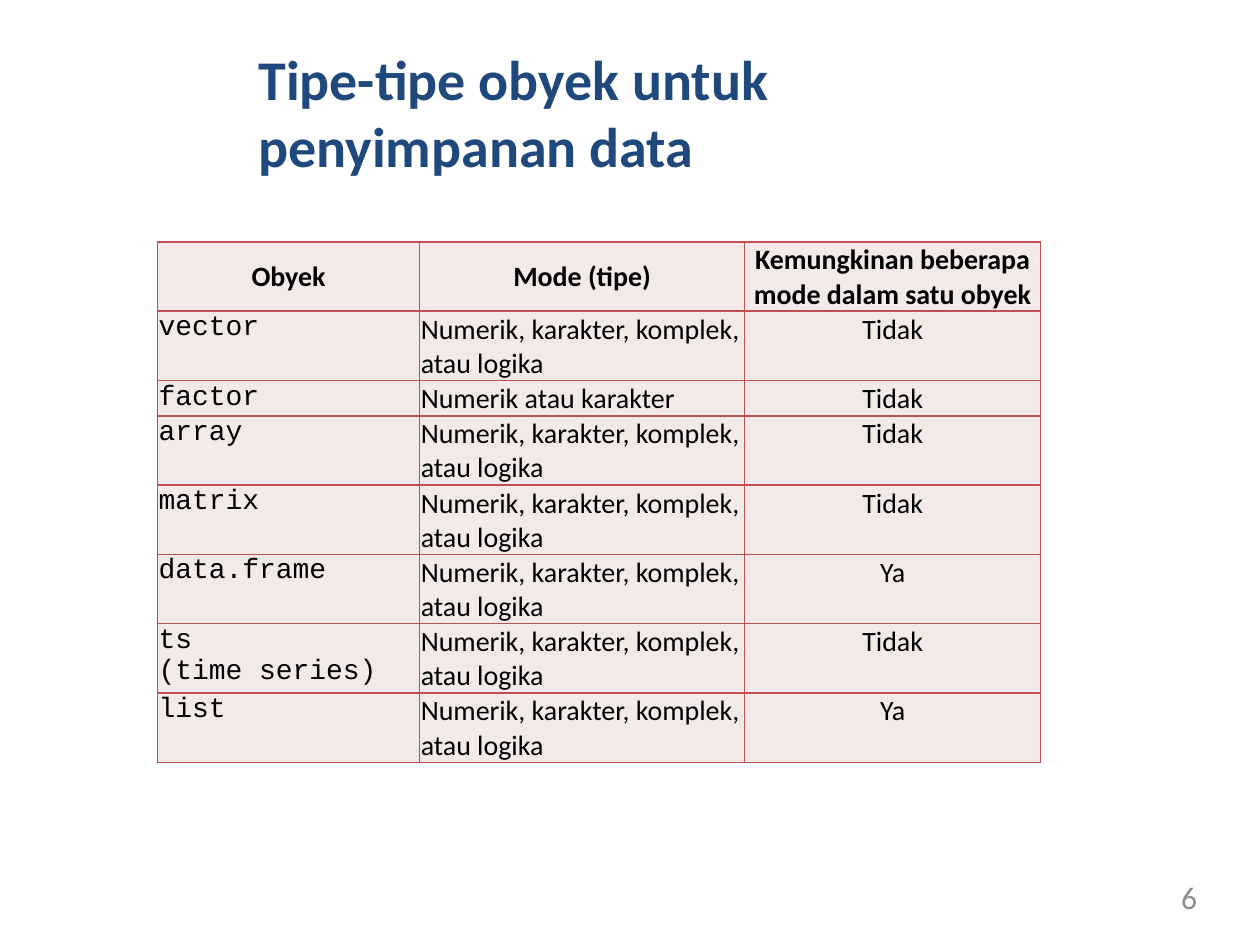
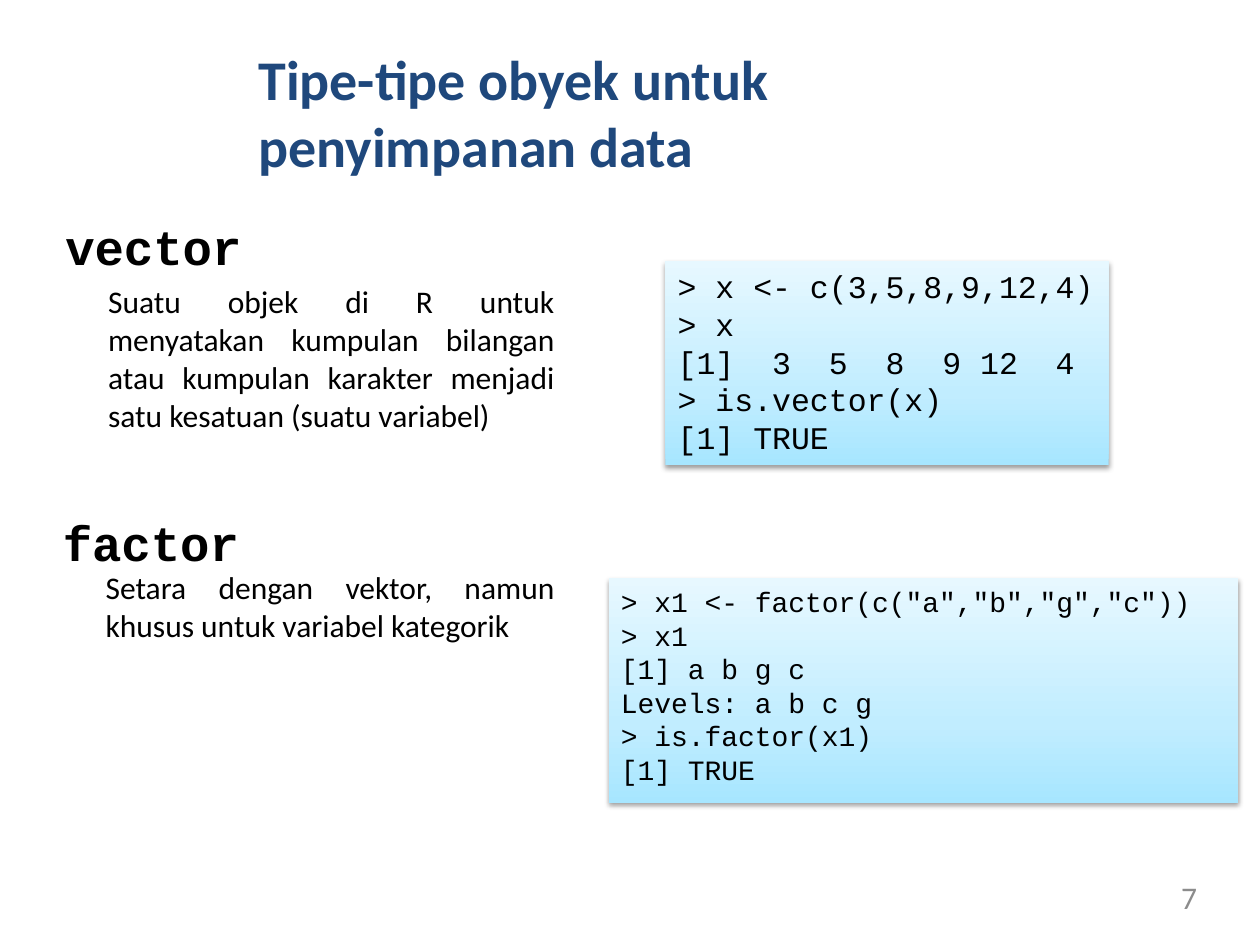
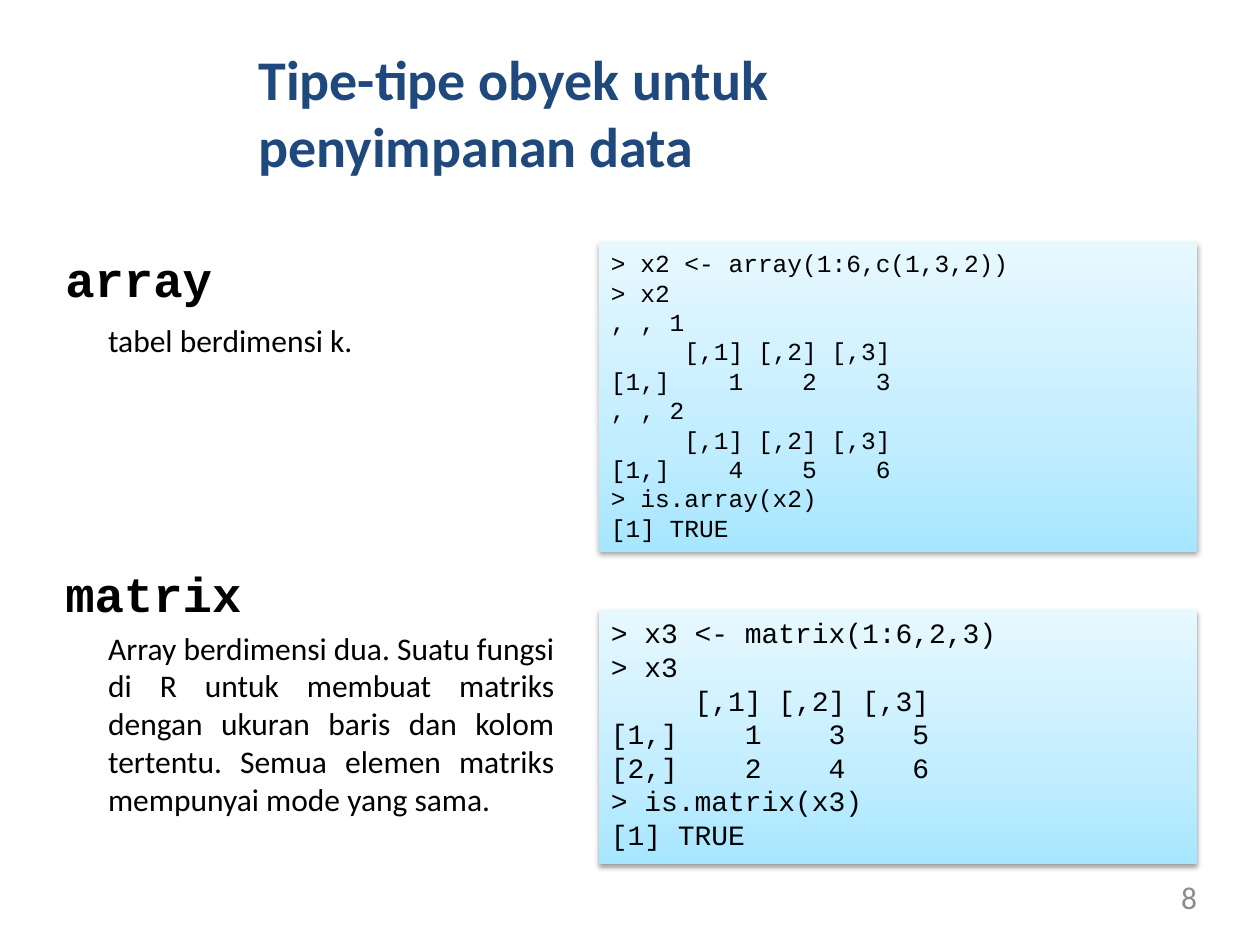
"""Build three slides on the object types that hold data in R."""
import copy

import lxml.etree
import pptx
import pptx.dml.color
import pptx.enum.shapes
import pptx.enum.text
import pptx.oxml
import pptx.oxml.ns
import pptx.util

RGB = pptx.dml.color.RGBColor
ALIGN = pptx.enum.text.PP_ALIGN
ANCHOR = pptx.enum.text.MSO_ANCHOR
Inches = pptx.util.Inches
Pt = pptx.util.Pt
qn = pptx.oxml.ns.qn

WIDE, HIGH = Inches(10), Inches(7.5)
NAVY = RGB(0x1F, 0x48, 0x7C)
GREY = RGB(0x8C, 0x8C, 0x8C)
BLACK = RGB(0, 0, 0)
PINK = RGB(0xF4, 0xE9, 0xE9)
RED = RGB(0xC0, 0x50, 0x4D)
BLUES = (
    (0, RGB(0xA7, 0xE6, 0xFF)),
    (0.35, RGB(0xC1, 0xED, 0xFF)),
    (1, RGB(0xE7, 0xF8, 0xFF)),
)
SANS, MONO = "Calibri", "Courier New"
TITLE = "Tipe-tipe obyek untuk penyimpanan data"
FIRST = 6

HEAD = ("Obyek", "Mode (tipe)", "Kemungkinan beberapa mode dalam satu obyek")
ALL = "Numerik, karakter, komplek, atau logika"
ROWS = (
    ("vector", ALL, "Tidak"),
    ("factor", "Numerik atau karakter", "Tidak"),
    ("array", ALL, "Tidak"),
    ("matrix", ALL, "Tidak"),
    ("data.frame", ALL, "Ya"),
    ("ts\n(time series)", ALL, "Tidak"),
    ("list", ALL, "Ya"),
)
COLS = (2.08, 2.58, 2.35)

VECTOR = """> x <- c(3,5,8,9,12,4)
> x
[1]  3  5  8  9 12  4
> is.vector(x)
[1] TRUE"""
FACTOR = """> x1 <- factor(c("a","b","g","c"))
> x1
[1] a b g c
Levels: a b c g
> is.factor(x1)
[1] TRUE"""
ARRAY = """> x2 <- array(1:6,c(1,3,2))
> x2
, , 1
     [,1] [,2] [,3]
[1,]    1    2    3
, , 2
     [,1] [,2] [,3]
[1,]    4    5    6
> is.array(x2)
[1] TRUE"""
MATRIX = """> x3 <- matrix(1:6,2,3)
> x3
     [,1] [,2] [,3]
[1,]    1    3    5
[2,]    2    4    6
> is.matrix(x3)
[1] TRUE"""


def area(left, top, width, height):
    """Turn percentages of the slide's size into lengths."""
    pairs = ((left, WIDE), (top, HIGH), (width, WIDE), (height, HIGH))
    return [round(part * whole / 100) for part, whole in pairs]


def write(frame, text, size, face=SANS, color=BLACK, bold=False, align=ALIGN.LEFT):
    """Fill a text frame with evenly styled paragraphs, one per line."""
    frame.word_wrap = True
    frame.text = text
    for para in frame.paragraphs:
        para.alignment = align
        font = para.font
        font.size, font.name, font.bold = Pt(size), face, bold
        font.color.rgb = color


def strip(frame):
    """Remove the margins of a text frame."""
    frame.margin_left = frame.margin_right = 0
    frame.margin_top = frame.margin_bottom = 0
    frame.vertical_anchor = ANCHOR.TOP


def label(slide, place, text, size, **style):
    """Add a text box and return its frame."""
    frame = slide.shapes.add_textbox(*area(*place)).text_frame
    write(frame, text, size, **style)
    return frame


def start(deck, number):
    """Add a slide with its title and page number."""
    slide = deck.slides.add_slide(deck.slide_layouts[5])
    title = slide.shapes.title
    title.left, title.top, title.width, title.height = area(20.5, 4.67, 58.9, 14.4)
    strip(title.text_frame)
    title.text_frame.auto_size = pptx.enum.text.MSO_AUTO_SIZE.NONE
    write(title.text_frame, TITLE, 32, color=NAVY, bold=True)
    strip(label(slide, (72, 92.93, 23, 3.6), str(number), 18,
                color=GREY, align=ALIGN.RIGHT))
    return slide


def edge(cell):
    """Draw a thin red line on all sides of a table cell."""
    props = cell._tc.get_or_add_tcPr()
    for spot, side in enumerate(("lnL", "lnR", "lnT", "lnB")):
        line = lxml.etree.Element(qn("a:" + side), w=str(Pt(1)))
        fill = lxml.etree.SubElement(line, qn("a:solidFill"))
        lxml.etree.SubElement(fill, qn("a:srgbClr"), val=str(RED))
        props.insert(spot, line)


def grid(slide):
    """Add the table of object types and their modes."""
    rows = (HEAD,) + ROWS
    place = area(12.5, 25.6, 70.1, 55.4)
    table = slide.shapes.add_table(len(rows), len(COLS), *place).table
    table.first_row = table.horz_banding = False
    for col, width in zip(table.columns, COLS):
        col.width = Inches(width)
    for r, row in enumerate(rows):
        table.rows[r].height = Inches(0.28 if row[0] == "factor" else 0.55)
        for c, text in enumerate(row):
            cell = table.cell(r, c)
            cell.margin_left = cell.margin_right = cell.margin_top = Inches(0.01)
            cell.margin_bottom = 0
            cell.vertical_anchor = ANCHOR.TOP if r else ANCHOR.MIDDLE
            cell.fill.solid()
            cell.fill.fore_color.rgb = PINK
            edge(cell)
            write(cell.text_frame, text, 16, bold=r == 0,
                  face=MONO if r and c == 0 else SANS,
                  align=ALIGN.CENTER if r == 0 or c == 2 else ALIGN.LEFT)


def shade(shape):
    """Give a shape the blue gradient and a soft shadow below."""
    shape.fill.gradient()
    shape.fill.gradient_angle = 90
    stops = shape.element.spPr.find(".//" + qn("a:gsLst"))
    stops.append(copy.deepcopy(stops[0]))
    for stop, (spot, color) in zip(shape.fill.gradient_stops, BLUES):
        stop.position = spot
        stop.color.rgb = color
    shape.shadow.inherit = False
    glow = lxml.etree.SubElement(
        shape.element.spPr.find(qn("a:effectLst")), qn("a:outerShdw"),
        blurRad=str(Pt(3.1)), dist=str(Pt(1.6)), dir="5400000", rotWithShape="0")
    tint = lxml.etree.SubElement(glow, qn("a:srgbClr"), val=str(BLACK))
    lxml.etree.SubElement(tint, qn("a:alpha"), val="38000")


def code(slide, place, text, size):
    """Add a shaded box with an R session."""
    kind = pptx.enum.shapes.MSO_SHAPE.RECTANGLE
    shape = slide.shapes.add_shape(kind, *area(*place))
    shade(shape)
    shape.line.fill.background()
    shape.text_frame.vertical_anchor = ANCHOR.TOP
    write(shape.text_frame, text, size, face=MONO)


def topic(slide, name, left, top, text, drop, height):
    """Add the name of an object type and its meaning, indented below."""
    label(slide, (left, top, 2.3 * (len(name) + 1), 7.6), name, 28,
          face=MONO, bold=True)
    inset = left + 3.4
    label(slide, (inset, top + drop, 45 - inset, height), text, 18,
          align=ALIGN.JUSTIFY)


def main():
    """Build and save the deck."""
    deck = pptx.Presentation()
    deck.slide_width, deck.slide_height = WIDE, HIGH
    types, lists, tables = [start(deck, FIRST + n) for n in range(3)]

    grid(types)

    topic(lists, "vector", 4.2, 22.27,
          "Suatu objek di R untuk menyatakan kumpulan bilangan atau kumpulan "
          "karakter menjadi satu kesatuan (suatu variabel)", 6.93, 17.47)
    topic(lists, "factor", 4, 53.6,
          "Setara dengan vektor, namun khusus untuk variabel kategorik", 5.87, 9.47)
    code(lists, (52.8, 27.6, 35.2, 21.6), VECTOR, 18)
    code(lists, (48.3, 61.2, 50, 23.73), FACTOR, 16)

    topic(tables, "matrix", 4.2, 58.93,
          "Array berdimensi dua. Suatu fungsi di R untuk membuat matriks dengan "
          "ukuran baris dan kolom tertentu. Semua elemen matriks mempunyai mode "
          "yang sama.", 6.93, 25.6)
    topic(tables, "array", 4.2, 25.6, "tabel berdimensi k.", 7.73, 5.33)
    code(tables, (47.5, 25.6, 47.5, 32.8), ARRAY, 14)
    code(tables, (47.5, 64.53, 47.5, 26.93), MATRIX, 16)

    deck.save("out.pptx")


if __name__ == "__main__":
    main()
